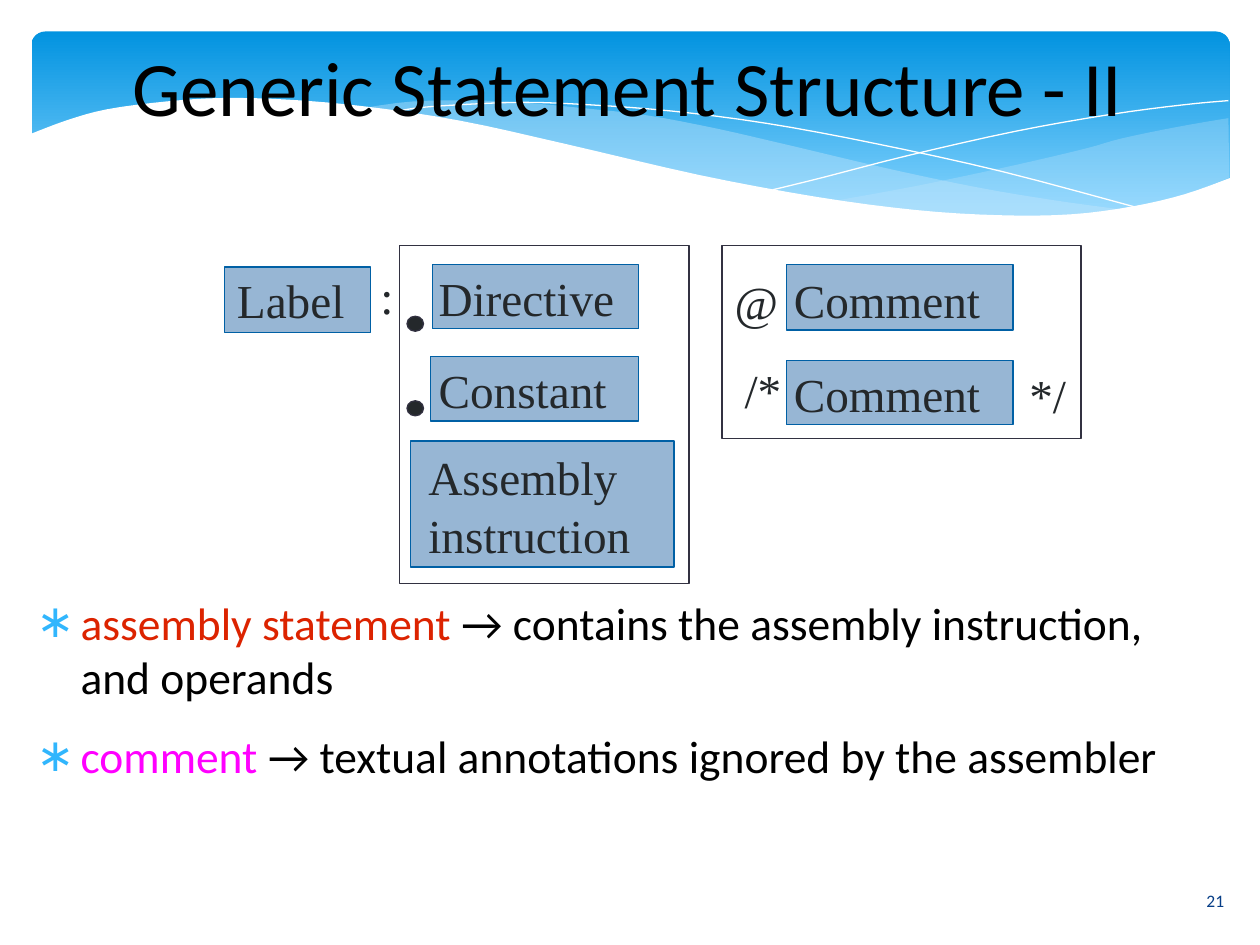
import pptx
import pptx.dml.color
import pptx.enum.shapes
import pptx.enum.text
import pptx.oxml
import pptx.oxml.ns
import pptx.util
from lxml import etree

Pt = pptx.util.Pt
SHAPES = pptx.enum.shapes.MSO_SHAPE
ALIGN = pptx.enum.text.PP_ALIGN
ANCHOR = pptx.enum.text.MSO_ANCHOR
NO_FIT = pptx.enum.text.MSO_AUTO_SIZE.NONE

BLACK, WHITE, INK, FRAME = "000000", "FFFFFF", "24282B", "323141"
BOX_FILL, BOX_LINE, BAND = "97B6D4", "0060A5", "C6E7FC"
NO_MARGINS = dict(margin_left=0, margin_right=0, margin_top=0, margin_bottom=0,
                  word_wrap=True, auto_size=NO_FIT)

RIGHT_BAND = [
    [(702, 67.5), (673, 72.5), (641.5, 79), (620, 85), (579.5, 94.5), (525, 106), (476, 115)],
    [(476, 115), (507.5, 119), (545, 122.5), (586, 124), (621.5, 122.5), (651.5, 117.5),
     (678, 111), (702.5, 101.5)],
]
LEFT_BAND = [
    [(643, 120), (602.5, 114.5), (558, 107), (508, 96.5), (453, 83.5), (409.5, 73.5),
     (370, 66), (335, 62), (302.5, 59), (273.5, 57.5), (236, 58), (206, 62)],
    [(206, 62), (246, 67.5), (291, 76), (323, 83.5), (381.5, 97), (432.5, 108), (479, 116),
     (520, 121), (556.5, 124), (589, 124.5), (617, 123), (643, 120)],
]
FALLING_LINE = [(222.5, 65), (236, 62), (261, 60), (299.5, 58.5), (338, 60), (384, 63.5),
                (438, 70.5), (500, 82), (572.5, 98), (653, 119.5)]
RISING_LINE = [(441.5, 108.5), (470, 101.5), (518.5, 89), (580.5, 75), (634, 65.5),
               (675.5, 60), (702, 57.5)]
WHITE_WAVE = [
    [(703.5, 101.5), (677, 111), (647, 118), (612, 122.5), (571, 123), (523, 120),
     (466.5, 112.5), (399.5, 100), (322, 82), (263, 69), (210, 61), (165.5, 57),
     (127.5, 56), (95, 58), (61, 62.5), (37.5, 69), (16.5, 77)],
    [(16.5, 161), (703.5, 161)],
]

FRAMES = [(228.2, 140.4, 165.6, 193), (412.6, 140.4, 205.2, 110.2)]
BOXES = [
    (128.2, 152.6, 83.5, 37.4),
    (247, 151.2, 118.1, 36.7),
    (246.2, 203.8, 118.8, 36.7),
    (234.7, 252, 150.5, 72),
    (449.3, 151.2, 129.6, 37.4),
    (449.3, 205.9, 129.6, 36.7),
]
DOT_TOPS = [180.7, 229]
LABELS = [
    ("Label", 135.4, 154.8),
    (":", 217.4, 152.6),
    ("Directive", 250.6, 154.1),
    ("Constant", 250.6, 206.6),
    ("Assembly", 244.8, 256.3),
    ("instruction", 244.8, 289.4),
    ("Comment", 453.6, 154.8),
    ("@", 419.8, 156.2),
    ("Comment", 453.6, 208.8),
    ("/*", 425.5, 206.6),
    ("*/", 588.2, 209.5),
]
BULLETS = [
    [("assembly statement ", "DC2300"),
     ("→ contains the assembly instruction, and operands", BLACK)],
    [("comment", "FF00FF"),
     (" → textual annotations ignored by the assembler", BLACK)],
]


def colour(code):
    return pptx.dml.color.RGBColor.from_string(code)


def apply(target, **values):
    for name, value in values.items():
        setattr(target, name, value)


def place(shape, left, top, width, height):
    apply(shape, left=Pt(left), top=Pt(top), width=Pt(width), height=Pt(height))


def paint(shape, fill=None, line=None, alpha=None):
    shape.shadow.inherit = False
    if fill:
        shape.fill.solid()
        shape.fill.fore_color.rgb = colour(fill)
    else:
        shape.fill.background()
    if line:
        shape.line.color.rgb = colour(line)
        shape.line.width = Pt(0)
    else:
        shape.line.fill.background()
    if alpha:
        code = shape.fill._xPr.find(".//" + pptx.oxml.ns.qn("a:srgbClr"))
        etree.SubElement(code, pptx.oxml.ns.qn("a:alpha"), val=str(alpha * 1000))


def add_box(page, kind, area, fill=None, line=None):
    box = page.shapes.add_shape(kind, *map(Pt, area))
    paint(box, fill, line)
    return box


def smooth(knots, steps=4):
    padded = [knots[0], *knots, knots[-1]]
    curve = [knots[0]]
    for a, b, c, d in zip(padded, padded[1:], padded[2:], padded[3:]):
        for step in range(1, steps + 1):
            t = step / steps
            curve.append(tuple(
                q + t * (r - p + t * (2 * p - 5 * q + 4 * r - s + t * (3 * q - p - 3 * r + s))) / 2
                for p, q, r, s in zip(a, b, c, d)))
    return curve


def add_curve(page, pieces, closed=True, **look):
    points = [tuple(map(Pt, point)) for piece in pieces for point in smooth(piece)]
    builder = page.shapes.build_freeform(*points[0])
    builder.add_line_segments(points[1:], close=closed)
    paint(builder.convert_to_shape(), **look)


def add_span(para, text, code, size, name):
    span = para.add_run()
    span.text = text
    apply(span.font, size=Pt(size), name=name)
    span.font.color.rgb = colour(code)


def add_text(page, text, area, code, size, name, align=ALIGN.LEFT, anchor=ANCHOR.TOP):
    box = page.shapes.add_textbox(*map(Pt, area))
    apply(box.text_frame, vertical_anchor=anchor, **NO_MARGINS)
    para = box.text_frame.paragraphs[0]
    para.alignment = align
    add_span(para, text, code, size, name)


def add_banner(page):
    banner = add_box(page, SHAPES.ROUNDED_RECTANGLE, (18, 18, 684.7, 112.3))
    banner.adjustments[0] = 0.07
    banner.fill.gradient()
    banner.fill.gradient_angle = 270
    for stop, code, position in zip(banner.fill.gradient_stops, ("0293E0", "83D3FE"), (0, 0.9)):
        stop.color.rgb = colour(code)
        stop.position = position
    add_curve(page, RIGHT_BAND, fill=BAND, alpha=29)
    add_curve(page, LEFT_BAND, fill=BAND, alpha=40)
    for line in (FALLING_LINE, RISING_LINE):
        add_curve(page, [line], closed=False, line=WHITE)
    add_curve(page, WHITE_WAVE, fill=WHITE)


def fill_title(page):
    title = page.shapes.title
    place(title, 22.3, 12.2, 673.2, 73.4)
    apply(title.text_frame, vertical_anchor=ANCHOR.MIDDLE, **NO_MARGINS)
    para = title.text_frame.paragraphs[0]
    para.alignment = ALIGN.CENTER
    add_span(para, "Generic Statement Structure - II", BLACK, 44, "Calibri")
    page.shapes._spTree.append(title._element)


def add_bullet(para):
    properties = para._p.get_or_add_pPr()
    apply_indent = {"marL": Pt(33.84), "indent": Pt(-25.2)}
    for name, value in apply_indent.items():
        properties.set(name, str(int(value)))
    space = pptx.oxml.ns.nsdecls("a")
    for piece in (f'<a:buClr {space}><a:srgbClr val="31B6FD"/></a:buClr>',
                  f'<a:buFont {space} typeface="Calibri"/>',
                  f'<a:buChar {space} char="∗"/>'):
        properties.append(pptx.oxml.parse_xml(piece))


def fill_body(page):
    body = page.placeholders[1]
    place(body, 12.2, 339.8, 684, 142.6)
    apply(body.text_frame, vertical_anchor=ANCHOR.TOP, **NO_MARGINS)
    for index, spans in enumerate(BULLETS):
        para = body.text_frame.add_paragraph() if index else body.text_frame.paragraphs[0]
        add_bullet(para)
        apply(para, space_before=Pt(0), space_after=Pt(14.1), alignment=ALIGN.LEFT)
        for text, code in spans:
            add_span(para, text, code, 26, "Calibri")
    page.shapes._spTree.append(body._element)


def add_diagram(page):
    for area in FRAMES:
        add_box(page, SHAPES.RECTANGLE, area, line=FRAME)
    for area in BOXES:
        add_box(page, SHAPES.RECTANGLE, area, BOX_FILL, BOX_LINE)
    for top in DOT_TOPS:
        add_box(page, SHAPES.OVAL, (232.6, top, 9.4, 8.6), INK, FRAME)
    for text, left, top in LABELS:
        add_text(page, text, (left, top, 14 * len(text) + 20, 36.7), INK, 27, "Times New Roman")


def main():
    deck = pptx.Presentation()
    apply(deck, slide_width=Pt(720), slide_height=Pt(540))
    page = deck.slides.add_slide(deck.slide_layouts[1])
    add_banner(page)
    add_text(page, "21", (672.5, 500.4, 43.9, 28.8), "073E87", 10, "Calibri",
             ALIGN.CENTER, ANCHOR.MIDDLE)
    fill_title(page)
    fill_body(page)
    add_diagram(page)
    deck.save("out.pptx")


if __name__ == "__main__":
    main()
